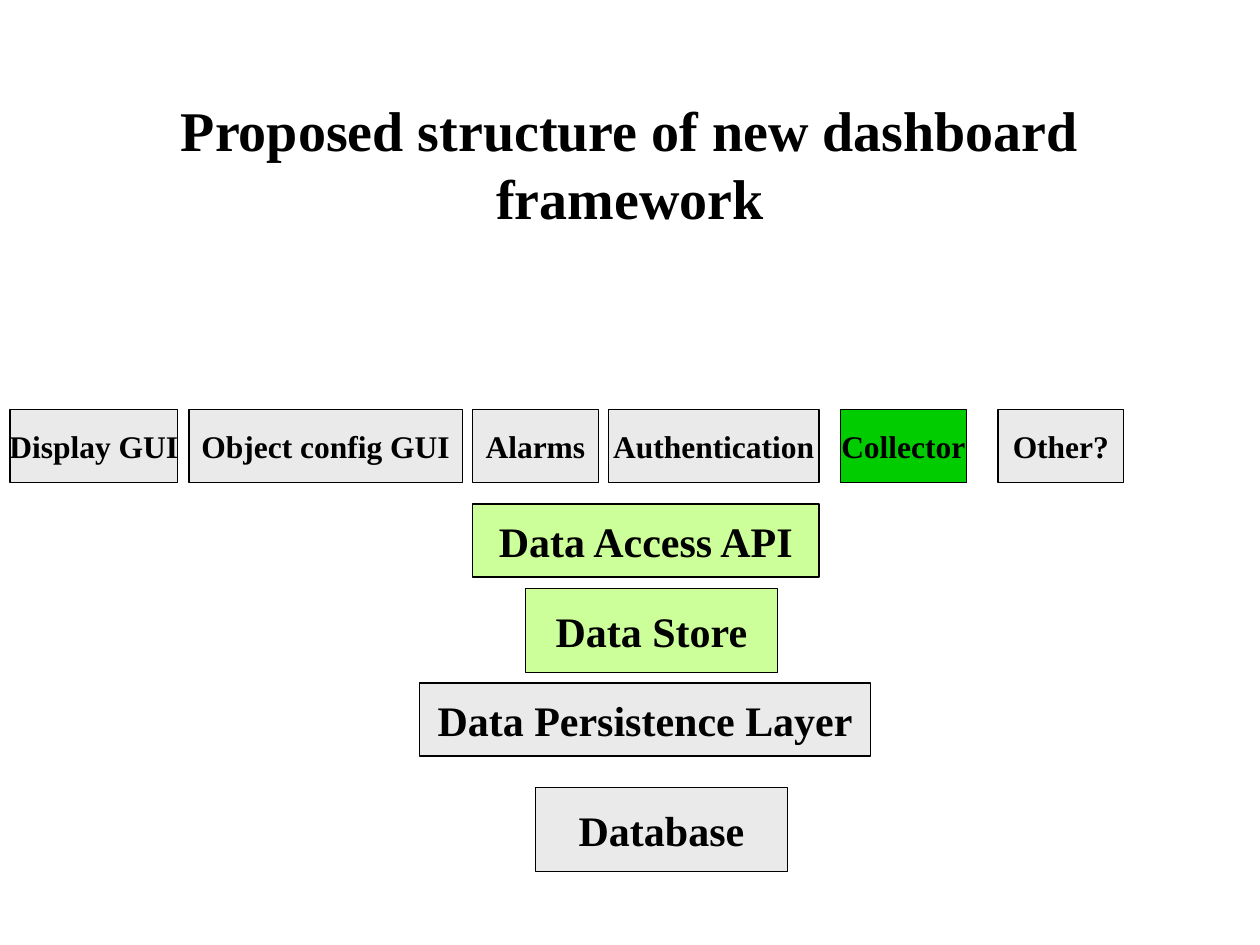
from dataclasses import dataclass

from pptx import Presentation
from pptx.dml.color import RGBColor
from pptx.enum import shapes, text
from pptx.util import Inches, Pt


@dataclass(frozen=True)
class Theme:
    font: str = "Times New Roman"
    ink: str = "000000"
    background: str = "FFFFFF"
    neutral: str = "EAEAEA"
    data: str = "CCFF99"
    collector: str = "00CC00"
    title_size: int = 32
    layer_size: int = 24
    module_size: int = 18
    line_width: float = 0.75


THEME = Theme()
MODULE_TOP = 3.25
MODULE_HEIGHT = 0.58

MODULES = [
    ("Display GUI", 0.08, 1.33, THEME.neutral),
    ("Object config GUI", 1.5, 2.17, THEME.neutral),
    ("Alarms", 3.75, 1, THEME.neutral),
    ("Authentication", 4.83, 1.67, THEME.neutral),
    ("Collector", 6.67, 1, THEME.collector),
    ("Other?", 7.92, 1, THEME.neutral),
]

LAYERS = [
    ("Data Access API", (3.75, 4, 2.75, 0.58), THEME.data),
    ("Data Store", (4.17, 4.67, 2, 0.67), THEME.data),
    ("Data Persistence Layer", (3.33, 5.42, 3.58, 0.58), THEME.neutral),
    ("Database", (4.25, 6.25, 2, 0.67), THEME.neutral),
]


def write_label(shape, label, size, wrap):
    frame = shape.text_frame
    frame.word_wrap = wrap
    frame.vertical_anchor = text.MSO_ANCHOR.MIDDLE
    paragraph = frame.paragraphs[0]
    paragraph.alignment = text.PP_ALIGN.CENTER
    run = paragraph.add_run()
    run.text = label
    run.font.name = THEME.font
    run.font.size = Pt(size)
    run.font.bold = True
    run.font.color.rgb = RGBColor.from_string(THEME.ink)


def add_title(slide, label, box):
    shape = slide.shapes.add_textbox(*map(Inches, box))
    write_label(shape, label, THEME.title_size, wrap=True)


def add_block(slide, label, box, fill, size):
    shape = slide.shapes.add_shape(shapes.MSO_SHAPE.RECTANGLE, *map(Inches, box))
    shape.shadow.inherit = False
    shape.fill.solid()
    shape.fill.fore_color.rgb = RGBColor.from_string(fill)
    shape.line.color.rgb = RGBColor.from_string(THEME.ink)
    shape.line.width = Pt(THEME.line_width)
    write_label(shape, label, size, wrap=False)


def main():
    presentation = Presentation()
    presentation.slide_width = Inches(10)
    presentation.slide_height = Inches(7.5)
    slide = presentation.slides.add_slide(presentation.slide_layouts[6])
    slide.background.fill.solid()
    slide.background.fill.fore_color.rgb = RGBColor.from_string(THEME.background)

    add_title(slide, "Proposed structure of new dashboard framework", (0.75, 0.67, 8.5, 1.25))
    for label, box, fill in LAYERS:
        add_block(slide, label, box, fill, THEME.layer_size)
    for label, left, width, fill in MODULES:
        box = (left, MODULE_TOP, width, MODULE_HEIGHT)
        add_block(slide, label, box, fill, THEME.module_size)

    presentation.save("out.pptx")


if __name__ == "__main__":
    main()
